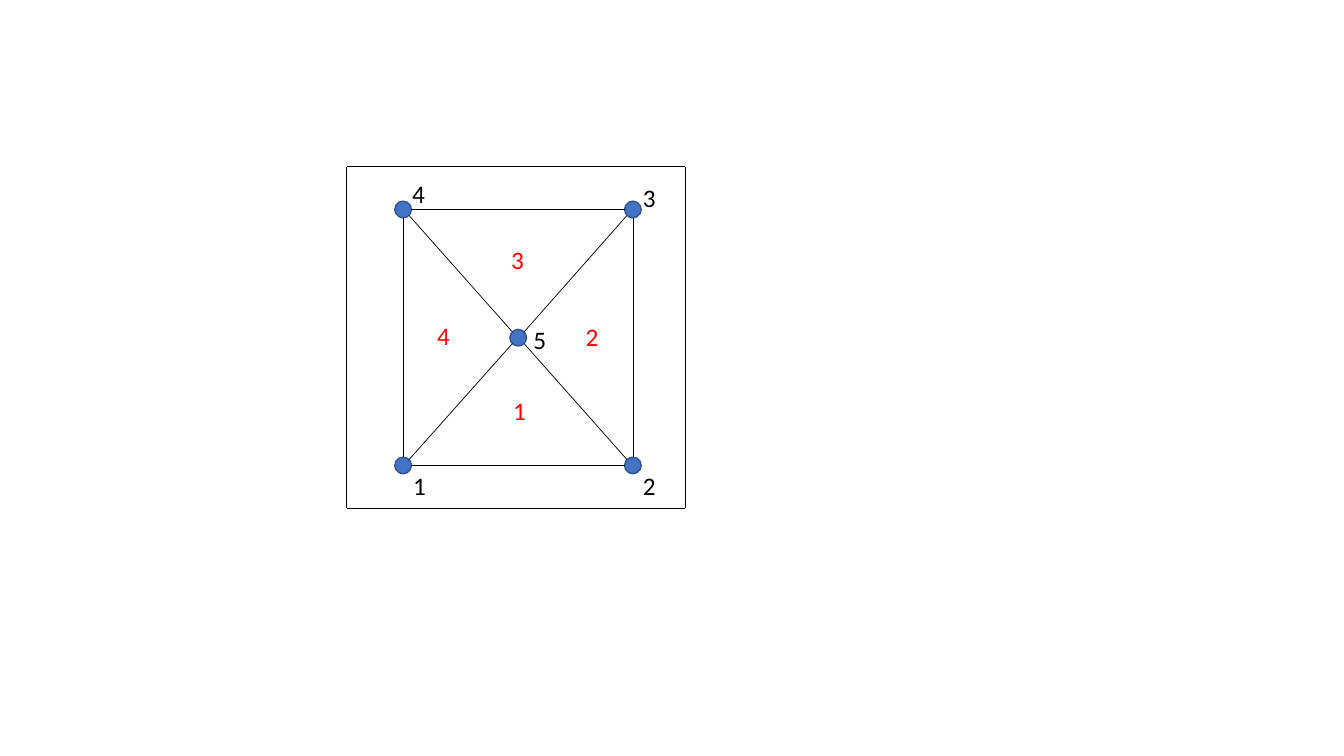
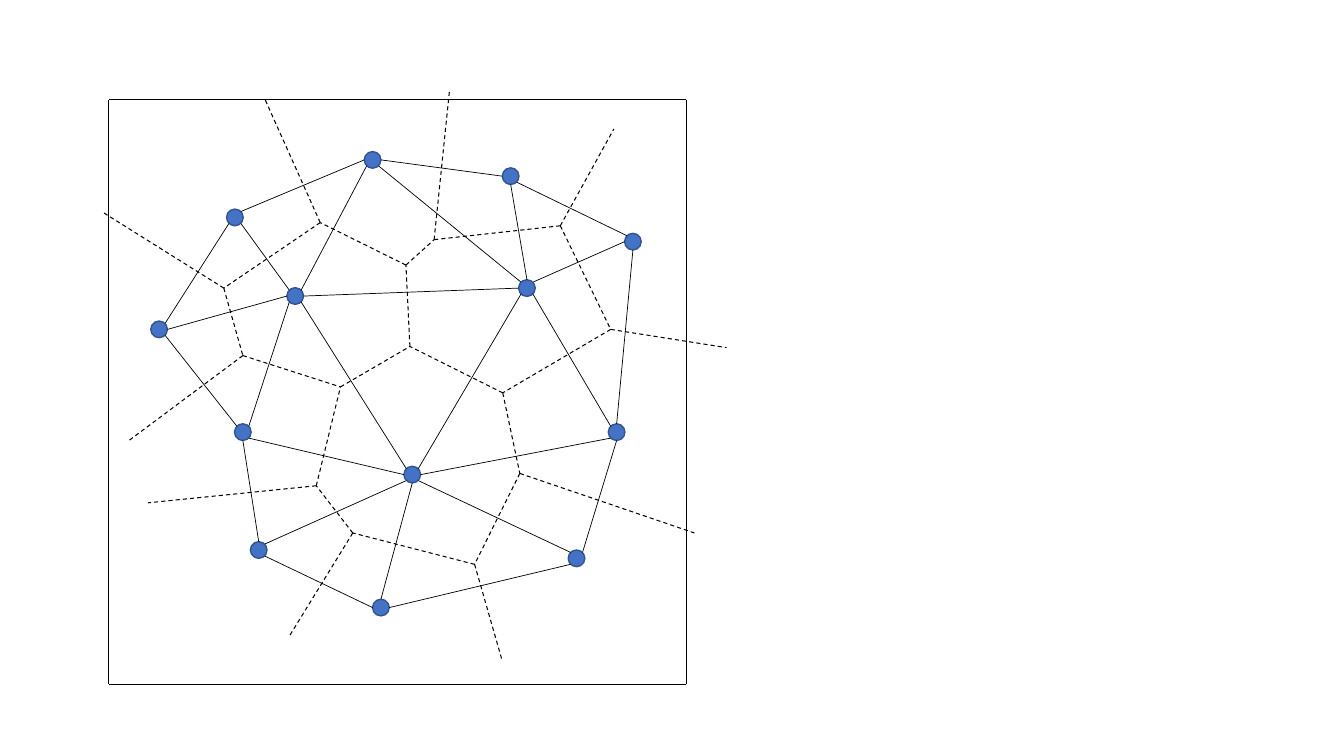
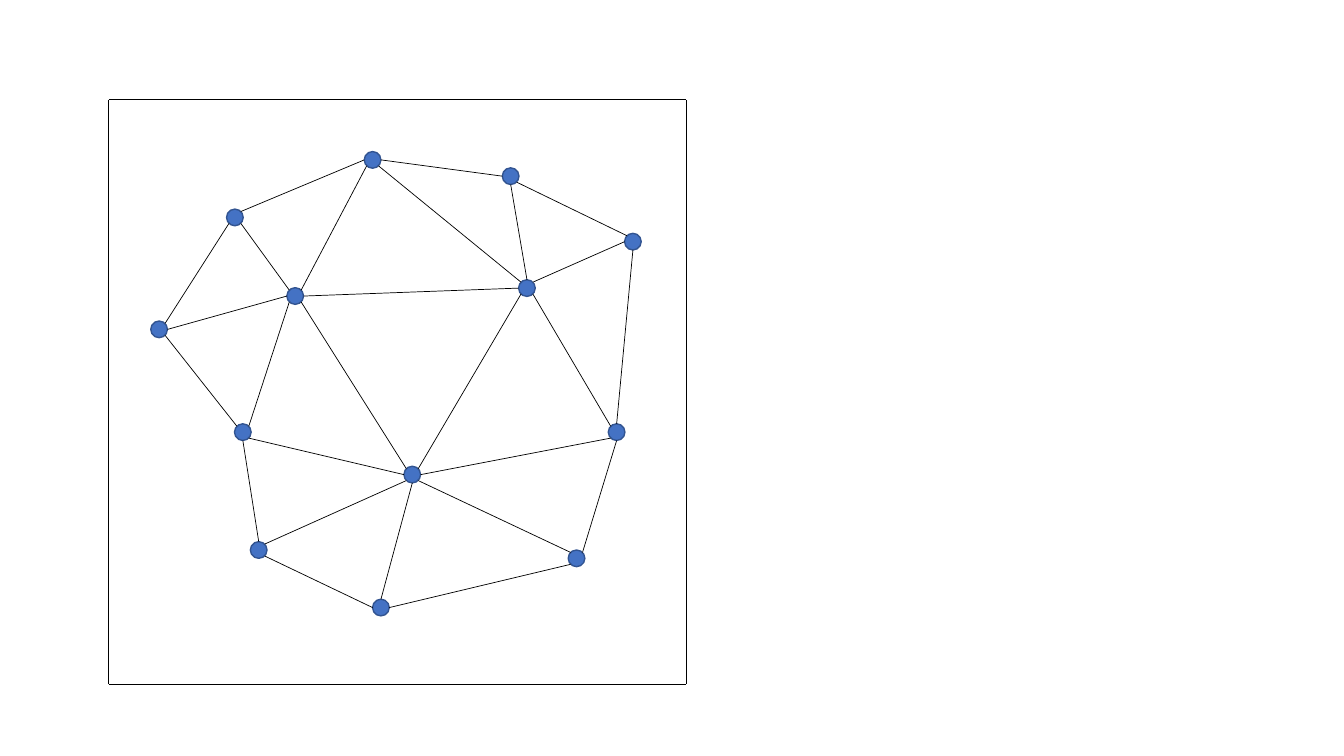
from lxml import etree
from pptx import Presentation
from pptx.dml.color import RGBColor
from pptx.enum.dml import MSO_LINE
from pptx.enum.shapes import MSO_CONNECTOR, MSO_SHAPE
from pptx.enum.text import MSO_AUTO_SIZE
from pptx.oxml.ns import qn
from pptx.util import Cm, Pt

BLACK = RGBColor(0x00, 0x00, 0x00)
RED = RGBColor(0xFF, 0x00, 0x00)
NODE_FILL = RGBColor(0x44, 0x72, 0xC4)
NODE_LINE = RGBColor(0x32, 0x54, 0x91)
STRAIGHT = MSO_CONNECTOR.STRAIGHT
OVAL = MSO_SHAPE.OVAL
DASH = MSO_LINE.DASH
GROW = MSO_AUTO_SIZE.SHAPE_TO_FIT_TEXT

FONT = "Calibri"
RADIUS = 0.21
DIAG = 0.15
LABEL_W, LABEL_H = 0.84, 1.03

# Offsets in cm from a node's centre to the points on its rim
RIM = {
    "N": (0, -RADIUS), "S": (0, RADIUS), "W": (-RADIUS, 0), "E": (RADIUS, 0),
    "NW": (-DIAG, -DIAG), "NE": (DIAG, -DIAG),
    "SW": (-DIAG, DIAG), "SE": (DIAG, DIAG),
}

# Boxes are left, top, width, height in cm; points are relative to their box
SQUARE_BOX = (8.74, 4.20, 8.53, 8.60)
SQUARE_NODES = {
    "1": (1.42, 7.53), "2": (7.21, 7.53), "3": (7.21, 1.08),
    "4": (1.42, 1.08), "5": (4.32, 4.31),
}
SQUARE_EDGES = """4 S 1 N, 1 E 2 W, 4 E 3 W, 3 S 2 N,
    4 SE 5 NW, 5 SE 2 NW, 1 NE 5 SW, 3 SW 5 NE"""
NODE_LABELS = {
    "1": (1.42, 7.53), "2": (7.21, 7.53), "3": (7.21, 0.27),
    "4": (1.40, 0.17), "5": (4.45, 3.85),
}
TRIANGLE_LABELS = {
    "1": (3.94, 5.63), "2": (5.77, 3.77), "3": (3.89, 1.82), "4": (2.03, 3.75),
}

CLOUD_BOX = (2.74, 2.51, 14.55, 14.73)
CLOUD_NODES = {
    "A": (4.70, 4.95), "B": (7.65, 9.45), "C": (10.54, 4.75),
    "D": (6.65, 1.52), "E": (3.38, 8.38), "F": (1.27, 5.79),
    "G": (3.18, 2.97), "H": (10.13, 1.93), "I": (13.21, 3.58),
    "J": (12.80, 8.38), "K": (3.78, 11.35), "L": (6.86, 12.80),
    "M": (11.79, 11.56),
}
CLOUD_EDGES = """G SW F NE, G SE A NW, F E A W, F SE E NW, E NE A SW,
    E SE B W, B NW A SE, K N E S, K NE B SW, K SE L W, L N B S, L E M SW,
    B SE M NW, M NE J S, B E J SW, B NE C SW, J NW C SE, A E C W, J N I S,
    C NE I W, H SE I NW, C N H S, H W D E, C NW D SE, A NE D SW, G NE D W"""

CELL_CORNERS = {
    "a": (5.33, 3.10), "b": (2.90, 4.75), "c": (3.38, 6.45),
    "d": (5.84, 7.24), "e": (7.59, 6.22), "f": (7.49, 4.17),
    "g": (8.20, 3.53), "h": (11.38, 3.18), "i": (12.65, 5.79),
    "j": (9.93, 7.39), "k": (10.36, 9.42), "l": (9.22, 11.71),
    "m": (6.15, 10.92), "n": (5.23, 9.73),
}
CELL_CHAINS = ("abcdefa", "fghije", "jklmnd")
CELL_RAYS = {
    "a": (3.94, 0), "b": (-0.18, 2.82), "c": (0.51, 8.59),
    "g": (8.59, -0.25), "h": (12.73, 0.74), "i": (15.57, 6.25),
    "k": (14.76, 10.92), "l": (9.91, 14.12), "m": (4.57, 13.49),
    "n": (0.99, 10.16),
}


def add_line(shapes, box, start, end, width=0.5, dash=None):
    """Draw a black line between two points of the box."""
    left, top = box[:2]
    sp = shapes.add_connector(
        STRAIGHT, Cm(left + start[0]), Cm(top + start[1]),
        Cm(left + end[0]), Cm(top + end[1]))
    sp.line.color.rgb = BLACK
    sp.line.width = Pt(width)
    if dash:
        sp.line.dash_style = dash
    etree.SubElement(sp._element.spPr, qn("a:effectLst"))


def add_frame(shapes, box):
    """Outline the box with four lines."""
    w, h = box[2:]
    corners = [(0, 0), (0, h), (w, h), (w, 0)]
    for start, end in zip(corners, corners[1:] + corners[:1]):
        add_line(shapes, box, start, end)


def add_node(shapes, box, centre):
    """Draw a round node about a point of the box."""
    sp = shapes.add_shape(
        OVAL, Cm(box[0] + centre[0] - RADIUS), Cm(box[1] + centre[1] - RADIUS),
        Cm(2 * RADIUS), Cm(2 * RADIUS))
    sp.shadow.inherit = False
    sp.fill.solid()
    sp.fill.fore_color.rgb = NODE_FILL
    sp.line.color.rgb = NODE_LINE
    sp.line.width = Pt(1)


def add_mesh(shapes, box, nodes, edges):
    """Draw nodes and the edges that join their rims."""
    for centre in nodes.values():
        add_node(shapes, box, centre)

    def rim_point(name, side):
        """Return the point on one side of a node."""
        (x, y), (dx, dy) = nodes[name], RIM[side]
        return x + dx, y + dy

    for edge in edges.split(","):
        name, side, other, other_side = edge.split()
        add_line(shapes, box, rim_point(name, side),
                 rim_point(other, other_side))


def add_labels(shapes, box, labels, color):
    """Write number labels at their places in the box."""
    for text, (x, y) in labels.items():
        sp = shapes.add_textbox(Cm(box[0] + x), Cm(box[1] + y),
                                Cm(LABEL_W), Cm(LABEL_H))
        tf = sp.text_frame
        tf.word_wrap = False
        tf.auto_size = GROW
        p = tf.paragraphs[0]
        p.text = text
        p.font.name = FONT
        p.font.size = Pt(18)
        p.font.color.rgb = color


def add_cells(shapes, box):
    """Draw the dashed cell borders and the rays that leave them."""
    borders = [(CELL_CORNERS[a], CELL_CORNERS[b])
               for chain in CELL_CHAINS for a, b in zip(chain, chain[1:])]
    rays = [(CELL_CORNERS[name], end) for name, end in CELL_RAYS.items()]
    for start, end in borders + rays:
        add_line(shapes, box, start, end, 0.75, DASH)


def square_slide(s, box):
    """Fill a slide with the numbered square of four triangles."""
    add_mesh(s.shapes, box, SQUARE_NODES, SQUARE_EDGES)
    add_labels(s.shapes, box, NODE_LABELS, BLACK)
    add_labels(s.shapes, box, TRIANGLE_LABELS, RED)
    add_frame(s.shapes, box)


def cells_slide(s, box):
    """Fill a slide with the triangulated cloud and its dashed cells."""
    add_mesh(s.shapes, box, CLOUD_NODES, CLOUD_EDGES)
    add_cells(s.shapes, box)
    add_frame(s.shapes, box)


def cloud_slide(s, box):
    """Fill a slide with the triangulated cloud as one group."""
    group = s.shapes.add_group_shape()
    add_mesh(group.shapes, box, CLOUD_NODES, CLOUD_EDGES)
    add_frame(s.shapes, box)


def main():
    """Build the three slides and save them."""
    prs = Presentation()
    prs.slide_width, prs.slide_height = Cm(33.87), Cm(19.05)
    blank = prs.slide_layouts[6]
    for fill_slide, box in ((square_slide, SQUARE_BOX),
                            (cells_slide, CLOUD_BOX),
                            (cloud_slide, CLOUD_BOX)):
        fill_slide(prs.slides.add_slide(blank), box)
    prs.save("out.pptx")


main()
